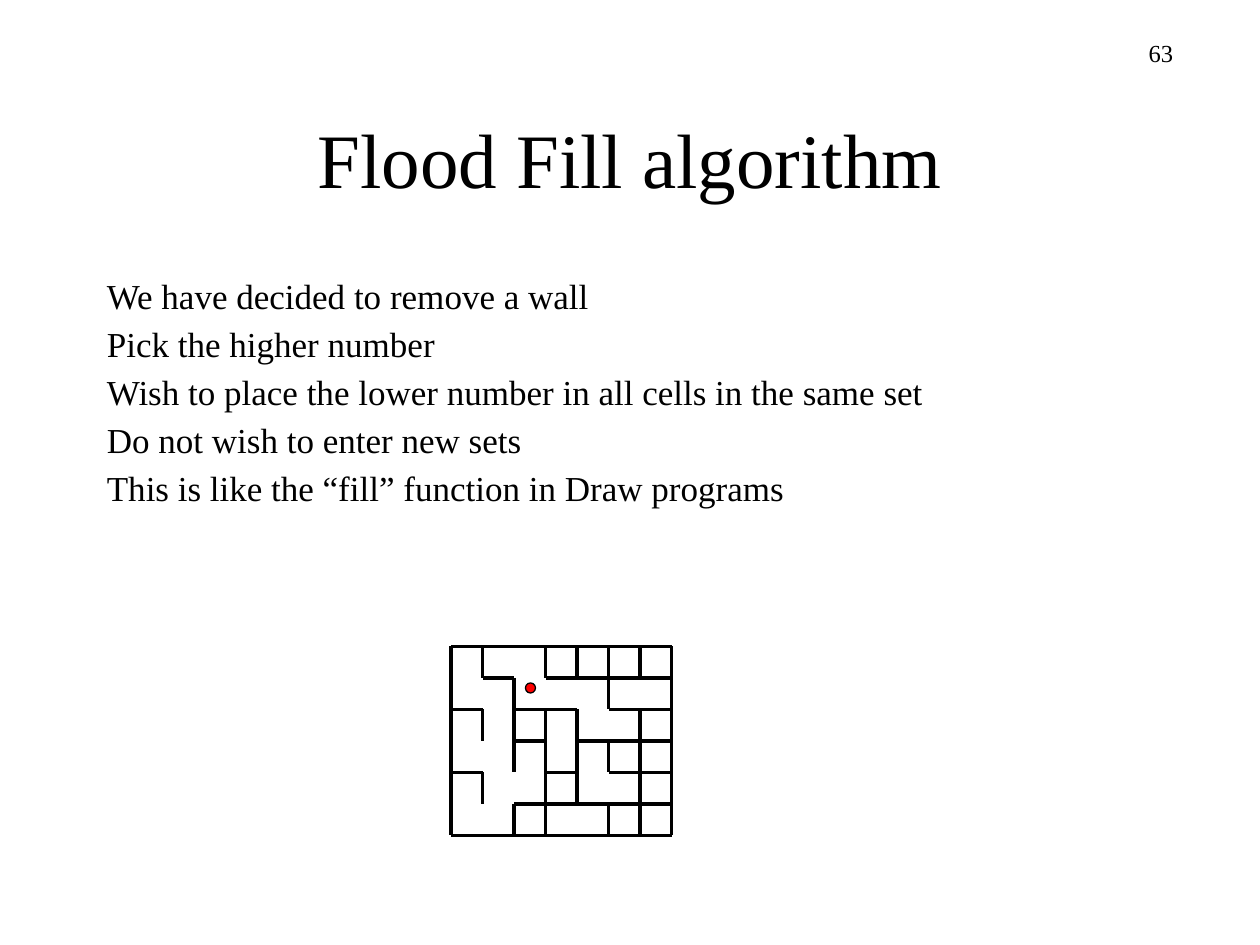
import pptx
import pptx.dml.color
import pptx.enum.shapes
import pptx.enum.text
import pptx.oxml.ns
import pptx.util
from lxml import etree

Inches = pptx.util.Inches
Pt = pptx.util.Pt
ALIGN = pptx.enum.text.PP_ALIGN
ANCHOR = pptx.enum.text.MSO_ANCHOR

COLORS = {"ink": "000000", "marker": "FF0000"}
FONT = "Times New Roman"
MAZE_LEFT, MAZE_TOP, CELL = 3.58, 5.13, 0.25
HANG = 0.37

BULLETS = [
    "We have decided to remove a wall",
    "Pick the higher number",
    "Wish to place the lower number in all cells in the same set",
    "Do not wish to enter new sets",
    "This is like the “fill” function in Draw programs",
]

# column: (start row, end row)
VERTICAL_WALLS = {
    0: [(0, 6)],
    1: [(0, 1), (2, 3), (4, 5)],
    2: [(1, 4), (5, 6)],
    3: [(0, 1), (2, 6)],
    4: [(0, 1), (2, 5)],
    5: [(0, 1), (1, 2), (3, 4), (5, 6)],
    6: [(0, 1), (2, 6)],
    7: [(0, 6)],
}
HORIZONTAL_WALLS = {
    0: [(0, 7)],
    1: [(1, 2), (3, 7)],
    2: [(0, 1), (2, 4), (5, 7)],
    3: [(2, 3), (4, 7)],
    4: [(0, 1), (3, 4), (5, 7)],
    5: [(2, 7)],
    6: [(0, 7)],
}


def rgb(name):
    return pptx.dml.color.RGBColor.from_string(COLORS[name])


def set_all(target, values):
    for name, value in values.items():
        setattr(target, name, value)


def add_text(s, box, lines, size, para_format, anchor=ANCHOR.TOP, gap=0, hang=0):
    tf = s.shapes.add_textbox(*map(Inches, box)).text_frame
    set_all(tf, {"word_wrap": True, "vertical_anchor": anchor})
    for i, line in enumerate(lines):
        p = tf.add_paragraph() if i else tf.paragraphs[0]
        set_all(p, para_format)
        if i and gap:
            p.space_before = Pt(gap)
        if hang:
            pPr = p._p.get_or_add_pPr()
            pPr.set("marL", str(Inches(hang)))
            pPr.set("indent", str(-Inches(hang)))
        r = p.add_run()
        r.text = line
        set_all(r.font, {"name": FONT, "size": Pt(size)})
        r.font.color.rgb = rgb("ink")


def add_wall(s, start, end):
    points = [
        Inches(origin + CELL * step)
        for column, row in (start, end)
        for origin, step in ((MAZE_LEFT, column), (MAZE_TOP, row))
    ]
    sp = s.shapes.add_connector(pptx.enum.shapes.MSO_CONNECTOR.STRAIGHT, *points)
    sp.line.width = Pt(2)
    sp.line.color.rgb = rgb("ink")
    etree.SubElement(sp._element.spPr, pptx.oxml.ns.qn("a:effectLst"))


def add_maze(s):
    for column, spans in VERTICAL_WALLS.items():
        for top, bottom in spans:
            add_wall(s, (column, top), (column, bottom))
    for row, spans in HORIZONTAL_WALLS.items():
        for left, right in spans:
            add_wall(s, (left, row), (right, row))


def add_marker(s, box):
    sp = s.shapes.add_shape(pptx.enum.shapes.MSO_SHAPE.OVAL, *map(Inches, box))
    sp.shadow.inherit = False
    sp.fill.solid()
    sp.fill.fore_color.rgb = rgb("marker")
    sp.line.color.rgb = rgb("ink")
    sp.line.width = Pt(0.75)


def main():
    prs = pptx.Presentation()
    set_all(prs, {"slide_width": Inches(10), "slide_height": Inches(7.5)})
    s = prs.slides.add_slide(prs.slide_layouts[6])
    add_text(s, (7.33, 0.25, 2.08, 0.5), ["63"], 14, {"alignment": ALIGN.RIGHT})
    add_text(s, (0.75, 0.67, 8.5, 1.25), ["Flood Fill algorithm"], 44,
             {"alignment": ALIGN.CENTER, "line_spacing": 0.93}, ANCHOR.MIDDLE)
    add_text(s, (0.75, 2.17, 8.5, 4.5), BULLETS, 20,
             {"alignment": ALIGN.LEFT, "line_spacing": 0.9}, gap=5.8, hang=HANG)
    add_maze(s)
    add_marker(s, (4.17, 5.42, 0.08, 0.08))
    prs.save("out.pptx")


if __name__ == "__main__":
    main()
